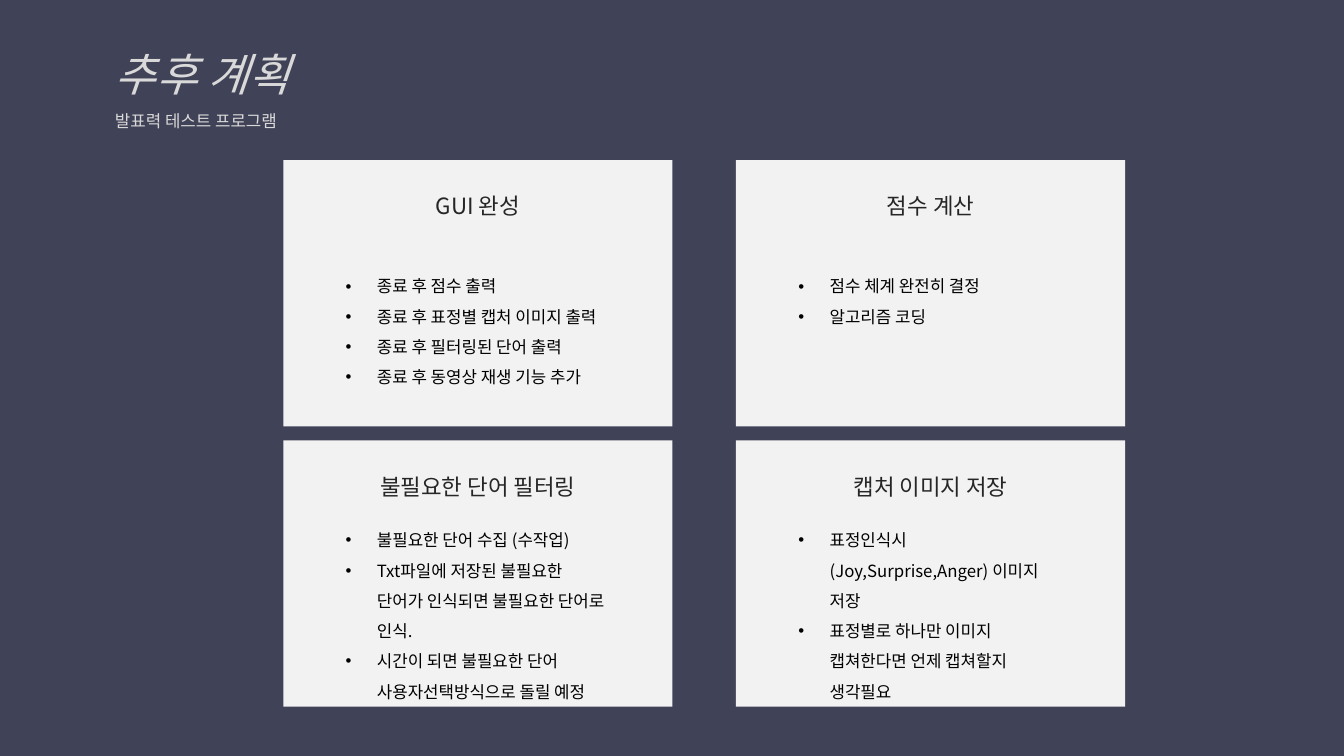
import pptx
import pptx.dml.color
import pptx.enum.shapes
import pptx.enum.text
import pptx.oxml.ns
import pptx.util
from lxml import etree

Inches, Pt = pptx.util.Inches, pptx.util.Pt
ALIGN = pptx.enum.text.PP_ALIGN
FONT = "Noto Sans CJK KR"

TITLE = "추후 계획"
SUBTITLE = "발표력 테스트 프로그램"
# Heading, offset of the list from the card top, list height, list items
CARDS = [
    ("GUI 완성", 1.0, 1.31, [
        "종료 후 점수 출력",
        "종료 후 표정별 캡처 이미지 출력",
        "종료 후 필터링된 단어 출력",
        "종료 후 동영상 재생 기능 추가",
    ]),
    ("점수 계산", 1.0, 0.68, [
        "점수 체계 완전히 결정",
        "알고리즘 코딩",
    ]),
    ("불필요한 단어 필터링", 0.74, 1.62, [
        "불필요한 단어 수집 (수작업)",
        "Txt파일에 저장된 불필요한 단어가 인식되면 불필요한 단어로 인식.",
        "시간이 되면 불필요한 단어 사용자선택방식으로 돌릴 예정",
    ]),
    ("캡처 이미지 저장", 0.74, 1.31, [
        "표정인식시 (Joy,Surprise,Anger) 이미지 저장",
        "표정별로 하나만 이미지 캡쳐한다면 언제 캡쳐할지 생각필요",
    ]),
]
LEFT, TOP, CARD_W, CARD_H = 2.81, 1.59, 3.86, 2.64
STEP_X, STEP_Y = 4.49, 2.78
LIST_DX, LIST_W, INDENT = 0.52, 2.82, 0.31


def color(value):
    return pptx.dml.color.RGBColor.from_string(value)


def add_text(tf, text, size=12, fill="000000", italic=False,
             align=ALIGN.LEFT, spacing=1.0, bullet=False):
    """Write text into the first empty paragraph or a new one."""
    p = tf.paragraphs[0] if not tf.text else tf.add_paragraph()
    p.alignment, p.line_spacing = align, spacing
    p.space_before = p.space_after = Pt(0)
    if bullet:
        pPr = p._p.get_or_add_pPr()
        pPr.set("marL", str(Inches(INDENT)))
        pPr.set("indent", str(-Inches(INDENT)))
        for tag, key, value in (("a:buFont", "typeface", "Arial"),
                                ("a:buChar", "char", "•")):
            etree.SubElement(pPr, pptx.oxml.ns.qn(tag)).set(key, value)
    r = p.add_run()
    r.text = text
    r.font.size, r.font.italic, r.font.name = Pt(size), italic, FONT
    r.font.color.rgb = color(fill)
    ea = etree.SubElement(r._r.get_or_add_rPr(), pptx.oxml.ns.qn("a:ea"))
    ea.set("typeface", FONT)


def set_frame(tf, grow=True):
    tf.word_wrap = True
    tf.vertical_anchor = pptx.enum.text.MSO_ANCHOR.TOP
    sizes = pptx.enum.text.MSO_AUTO_SIZE
    tf.auto_size = sizes.SHAPE_TO_FIT_TEXT if grow else sizes.NONE


prs = pptx.Presentation()
prs.slide_width, prs.slide_height = Inches(13.33), Inches(7.5)
s = prs.slides.add_slide(prs.slide_layouts[5])
s.background.fill.solid()
s.background.fill.fore_color.rgb = color("404257")

# Title and subtitle
title = s.shapes.title
title.left, title.top = Inches(1.04), Inches(0.15)
title.width, title.height = Inches(6), Inches(1.21)
set_frame(title.text_frame)
add_text(title.text_frame, TITLE, size=32, fill="D9D9D9", italic=True, spacing=1.5)
add_text(title.text_frame, SUBTITLE, fill="D9D9D9", spacing=1.5)

# Two by two grid of plan cards
for i, (heading, list_dy, list_h, items) in enumerate(CARDS):
    row, col = divmod(i, 2)
    x, y = LEFT + col * STEP_X, TOP + row * STEP_Y

    card = s.shapes.add_shape(pptx.enum.shapes.MSO_SHAPE.RECTANGLE,
                              Inches(x), Inches(y), Inches(CARD_W), Inches(CARD_H))
    card.shadow.inherit = False
    card.fill.solid()
    card.fill.fore_color.rgb = color("F2F2F2")
    card.line.fill.background()
    set_frame(card.text_frame, grow=False)
    card.text_frame.margin_top = Inches(0.32)
    add_text(card.text_frame, heading, size=16, fill="262626", align=ALIGN.CENTER)

    box = s.shapes.add_textbox(Inches(x + LIST_DX), Inches(y + list_dy),
                               Inches(LIST_W), Inches(list_h))
    set_frame(box.text_frame)
    for item in items:
        add_text(box.text_frame, item, spacing=1.5, bullet=True)

prs.save("out.pptx")
